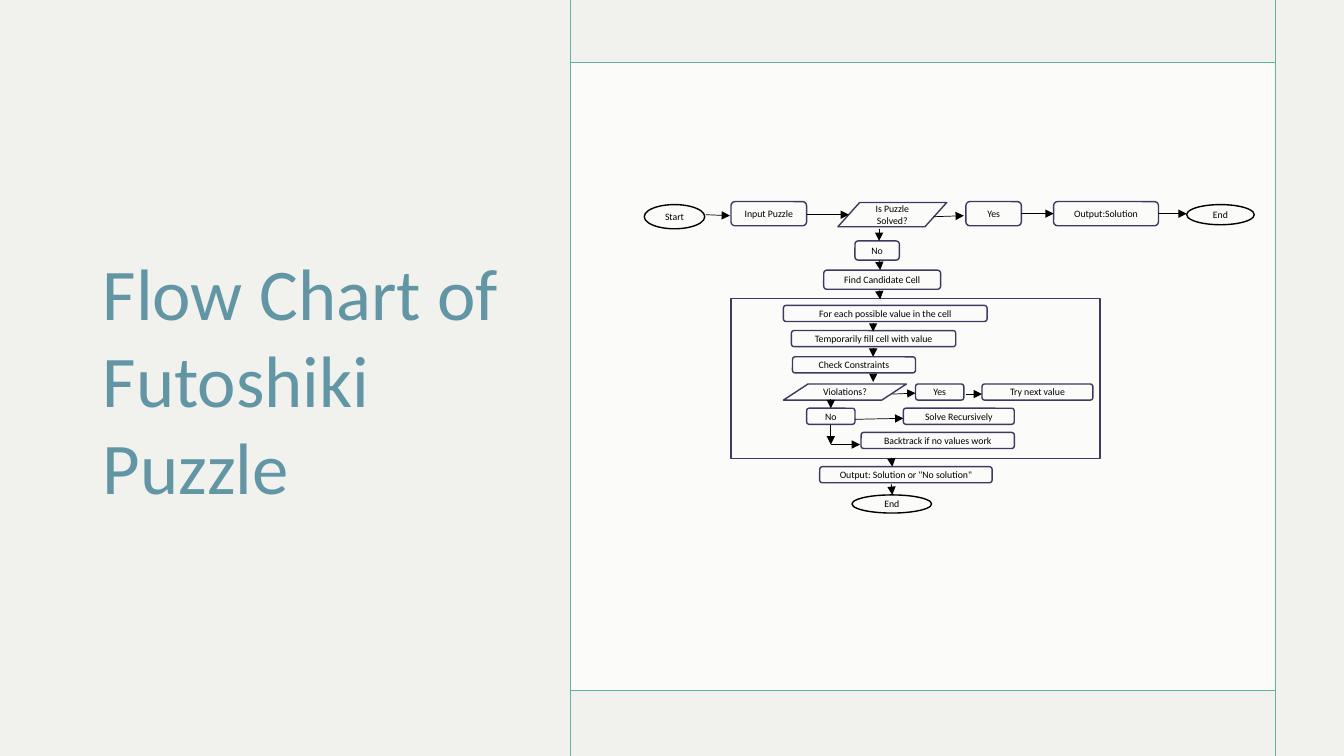
from lxml import etree
from pptx import Presentation
from pptx.dml.color import RGBColor
from pptx.enum.shapes import MSO_CONNECTOR, MSO_SHAPE
from pptx.enum.text import MSO_ANCHOR, PP_ALIGN
from pptx.oxml.ns import qn
from pptx.util import Inches, Pt

STRAIGHT = MSO_CONNECTOR.STRAIGHT
RECT = MSO_SHAPE.RECTANGLE
STEP = MSO_SHAPE.ROUNDED_RECTANGLE
TERMINAL = MSO_SHAPE.OVAL
DECISION = MSO_SHAPE.FLOWCHART_DATA
MIDDLE = MSO_ANCHOR.MIDDLE
LEFT, CENTER = PP_ALIGN.LEFT, PP_ALIGN.CENTER

FONT = "Calibri"
BLACK, INDIGO, TEAL = "000000", "3C3A5E", "5DB4A2"
SLIDE_W, SLIDE_H = 13.33, 7.5

# Kind, left, top, width, height, text; measured from the chart corner
NODES = [
    # Main row
    (TERMINAL, 0.39, 0.03, 0.6, 0.24, "Start"),
    (STEP, 1.25, 0, 0.75, 0.24, "Input Puzzle"),
    (DECISION, 2.31, 0.01, 1.08, 0.24, "Is Puzzle Solved?"),
    (STEP, 3.58, 0, 0.55, 0.24, "Yes"),
    (STEP, 4.45, 0, 1.04, 0.24, "Output:Solution"),
    (TERMINAL, 5.77, 0.03, 0.67, 0.2, "End"),
    # Unsolved branch
    (STEP, 2.48, 0.39, 0.44, 0.19, "No"),
    (STEP, 2.17, 0.68, 1.16, 0.19, "Find Candidate Cell"),
    # Loop over the values
    (STEP, 1.77, 1.03, 2.02, 0.16, "For each possible value in the cell"),
    (STEP, 1.85, 1.28, 1.63, 0.16, "Temporarily fill cell with value"),
    (STEP, 1.86, 1.54, 1.22, 0.16, "Check Constraints"),
    (DECISION, 1.77, 1.81, 1.22, 0.16, "Violations?"),
    (STEP, 3.08, 1.81, 0.48, 0.16, "Yes"),
    (STEP, 3.74, 1.81, 1.1, 0.16, "Try next value"),
    (STEP, 2, 2.05, 0.48, 0.16, "No"),
    (STEP, 2.96, 2.05, 1.1, 0.16, "Solve Recursively"),
    (STEP, 2.54, 2.29, 1.52, 0.16, "Backtrack if no values work"),
    # Result
    (STEP, 2.13, 2.63, 1.71, 0.16, 'Output: Solution or "No solution"'),
    (TERMINAL, 2.45, 2.91, 0.79, 0.18, "End"),
]
LOOP_FRAME = (1.25, 0.96, 3.66, 1.59)

# Start x, start y, end x, end y; measured from the chart corner
ARROWS = [
    # Main row
    (1, 0.13, 1.24, 0.14), (2, 0.13, 2.42, 0.13), (3.26, 0.15, 3.56, 0.14),
    (4.13, 0.12, 4.45, 0.12), (5.49, 0.12, 5.77, 0.12),
    # Unsolved branch
    (2.72, 0.27, 2.72, 0.39), (2.72, 0.58, 2.73, 0.68), (2.72, 0.88, 2.73, 0.97),
    # Loop over the values
    (2.66, 1.2, 2.66, 1.29), (2.66, 1.45, 2.66, 1.54), (2.66, 1.71, 2.66, 1.79),
    (2.24, 1.96, 2.24, 2.05), (2.85, 1.91, 3.08, 1.9), (3.58, 1.91, 3.74, 1.91),
    (2.48, 2.16, 2.96, 2.15), (2.24, 2.22, 2.24, 2.41), (2.24, 2.41, 2.53, 2.41),
    # Result
    (2.84, 2.54, 2.85, 2.63), (2.84, 2.8, 2.85, 2.91),
]


def rgb(color):
    return RGBColor.from_string(color)


def write(shape, text, size, color=BLACK, align=CENTER, inset=0.05, after=0):
    frame = shape.text_frame
    frame.word_wrap = True
    frame.vertical_anchor = MIDDLE
    frame.margin_left = frame.margin_right = Inches(inset)
    frame.margin_top = frame.margin_bottom = 0
    paragraph = frame.paragraphs[0]
    paragraph.alignment = align
    paragraph.space_after = Pt(after)
    run = paragraph.add_run()
    run.text = text
    run.font.name = FONT
    run.font.size = Pt(size)
    run.font.color.rgb = rgb(color)


def add_box(slide, kind, left, top, width, height, fill=None, line=None, alpha=None):
    box = slide.shapes.add_shape(
        kind, Inches(left), Inches(top), Inches(width), Inches(height))
    box.shadow.inherit = False
    if fill:
        box.fill.solid()
        box.fill.fore_color.rgb = rgb(fill)
    else:
        box.fill.background()
    if alpha:
        tint = box.fill._xPr.find(qn("a:solidFill"))[0]
        etree.SubElement(tint, qn("a:alpha"), val=str(alpha * 1000))
    if line:
        box.line.color.rgb = rgb(line)
        box.line.width = Pt(1)
    else:
        box.line.fill.background()
    return box


def add_line(slide, x1, y1, x2, y2, color, width, arrow=False):
    line = slide.shapes.add_connector(
        STRAIGHT, Inches(x1), Inches(y1), Inches(x2), Inches(y2))
    line.line.color.rgb = rgb(color)
    line.line.width = Pt(width)
    if arrow:
        etree.SubElement(line.line._get_or_add_ln(), qn("a:tailEnd"), type="triangle")
    etree.SubElement(line._element.spPr, qn("a:effectLst"))


def add_title(slide, left, top, width, height):
    title = slide.shapes.add_textbox(
        Inches(left), Inches(top), Inches(width), Inches(height))
    write(title, "Flow Chart of Futoshiki Puzzle", 52, color="6296A5",
          align=LEFT, inset=0.1)


def add_panel(slide, left, top, width, height):
    add_box(slide, RECT, left, top, width, height, fill="FFFFFF", alpha=75)
    for y in (top, top + height):
        add_line(slide, left, y, left + width, y, TEAL, 1)
    for x in (left, left + width):
        add_line(slide, x, 0, x, SLIDE_H, TEAL, 1)


def add_flow_chart(slide, left, top):
    frame_x, frame_y, frame_w, frame_h = LOOP_FRAME
    add_box(slide, RECT, left + frame_x, top + frame_y, frame_w, frame_h, line=INDIGO)
    for kind, x, y, width, height, text in NODES:
        outline = BLACK if kind == TERMINAL else INDIGO
        node = add_box(slide, kind, left + x, top + y, width, height, line=outline)
        write(node, text, 7, after=6)
    for x1, y1, x2, y2 in ARROWS:
        add_line(slide, left + x1, top + y1, left + x2, top + y2, BLACK, 0.5, arrow=True)


def main():
    prs = Presentation()
    prs.slide_width, prs.slide_height = Inches(SLIDE_W), Inches(SLIDE_H)
    slide = prs.slides.add_slide(prs.slide_layouts[6])
    add_box(slide, RECT, 0, 0, SLIDE_W, SLIDE_H, fill="F1F1EE")
    add_title(slide, 0.92, 0.64, 4.5, 6.23)
    add_panel(slide, 5.66, 0.62, 6.99, 6.23)
    add_flow_chart(slide, 6, 2)
    prs.save("out.pptx")


if __name__ == "__main__":
    main()
